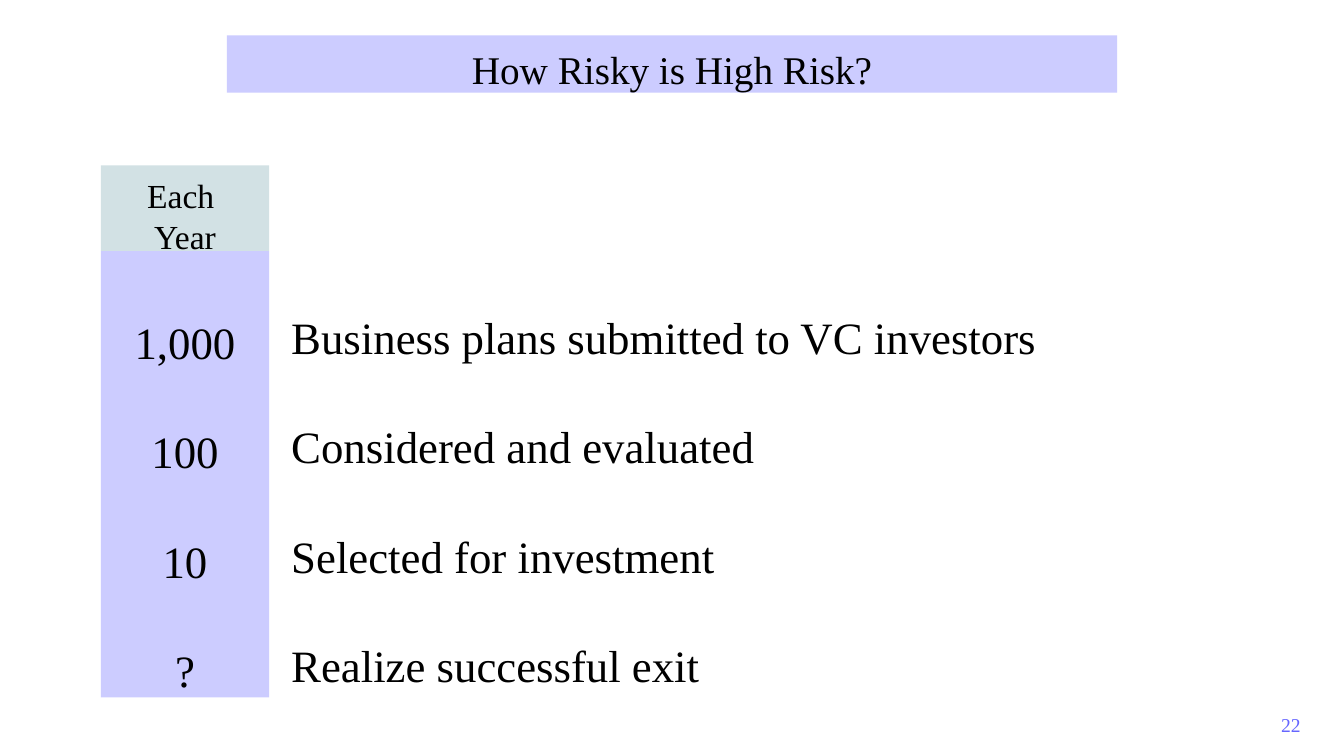
"""Build the slide on how few business plans reach a successful exit."""
from dataclasses import dataclass

from pptx import Presentation
from pptx.dml.color import RGBColor
from pptx.enum.shapes import MSO_SHAPE
from pptx.enum.text import MSO_ANCHOR, MSO_AUTO_SIZE, PP_ALIGN
from pptx.util import Inches, Pt


@dataclass(frozen=True)
class Theme:
    font: str = "Times New Roman"
    ink: str = "000000"
    lilac: str = "CCCCFF"
    mist: str = "D2E1E4"
    violet: str = "6666FF"
    title: int = 28
    heading: int = 24
    body: int = 32
    page: int = 14


theme = Theme()


def write(shape, *lines, size, color=theme.ink, align=PP_ALIGN.CENTER, top=0.1, gap=0, fill=None):
    """Put one paragraph per line into the shape and format both."""
    if fill:
        shape.fill.solid()
        shape.fill.fore_color.rgb = RGBColor.from_string(fill)
    frame = shape.text_frame
    frame.word_wrap = True
    frame.auto_size = MSO_AUTO_SIZE.NONE
    frame.vertical_anchor = MSO_ANCHOR.TOP
    frame.margin_left = frame.margin_right = Inches(0.1)
    frame.margin_top, frame.margin_bottom = Inches(top), 0
    frame.text = "\n".join(lines)
    for index, paragraph in enumerate(frame.paragraphs):
        paragraph.alignment = align
        paragraph.space_before = Pt(gap if index else 0)
        paragraph.font.name = theme.font
        paragraph.font.size = Pt(size)
        paragraph.font.color.rgb = RGBColor.from_string(color)


deck = Presentation()
deck.slide_width, deck.slide_height = Inches(13.33), Inches(7.5)
slide = deck.slides.add_slide(deck.slide_layouts[5])

column_left, column_width = Inches(1), Inches(1.67)
heading_top, counts_top, column_bottom = Inches(1.64), Inches(2.49), Inches(6.92)
stages_left, stages_top = Inches(2.79), Inches(2.97)
row_gap = 39.8

funnel = [
    ("1,000", "Business plans submitted to VC investors"),
    ("100", "Considered and evaluated"),
    ("10", "Selected for investment"),
    ("?", "Realize successful exit"),
]
counts, stages = zip(*funnel)

title = slide.shapes.title
title.left, title.top, title.width, title.height = map(Inches, (2.25, 0.35, 8.83, 0.57))
write(title, "How Risky is High Risk?", size=theme.title, fill=theme.lilac)

for lines, top, bottom, style in (
    (counts, counts_top, column_bottom,
     dict(size=theme.body, fill=theme.lilac, top=0.63, gap=row_gap)),
    (("Each ", "Year"), heading_top, counts_top,
     dict(size=theme.heading, fill=theme.mist, top=0.09, gap=1)),
):
    panel = slide.shapes.add_shape(
        MSO_SHAPE.RECTANGLE, column_left, top, column_width, bottom - top)
    panel.shadow.inherit = False
    panel.line.fill.background()
    write(panel, *lines, **style)

descriptions = slide.shapes.add_textbox(
    stages_left, stages_top, Inches(7.75), column_bottom - stages_top)
write(descriptions, *stages, size=theme.body, align=PP_ALIGN.LEFT, gap=row_gap)

page_number = slide.shapes.add_textbox(Inches(12), Inches(7), Inches(1), Inches(0.27))
write(page_number, "22", size=theme.page, color=theme.violet, align=PP_ALIGN.RIGHT, top=0.07)

deck.save("out.pptx")
